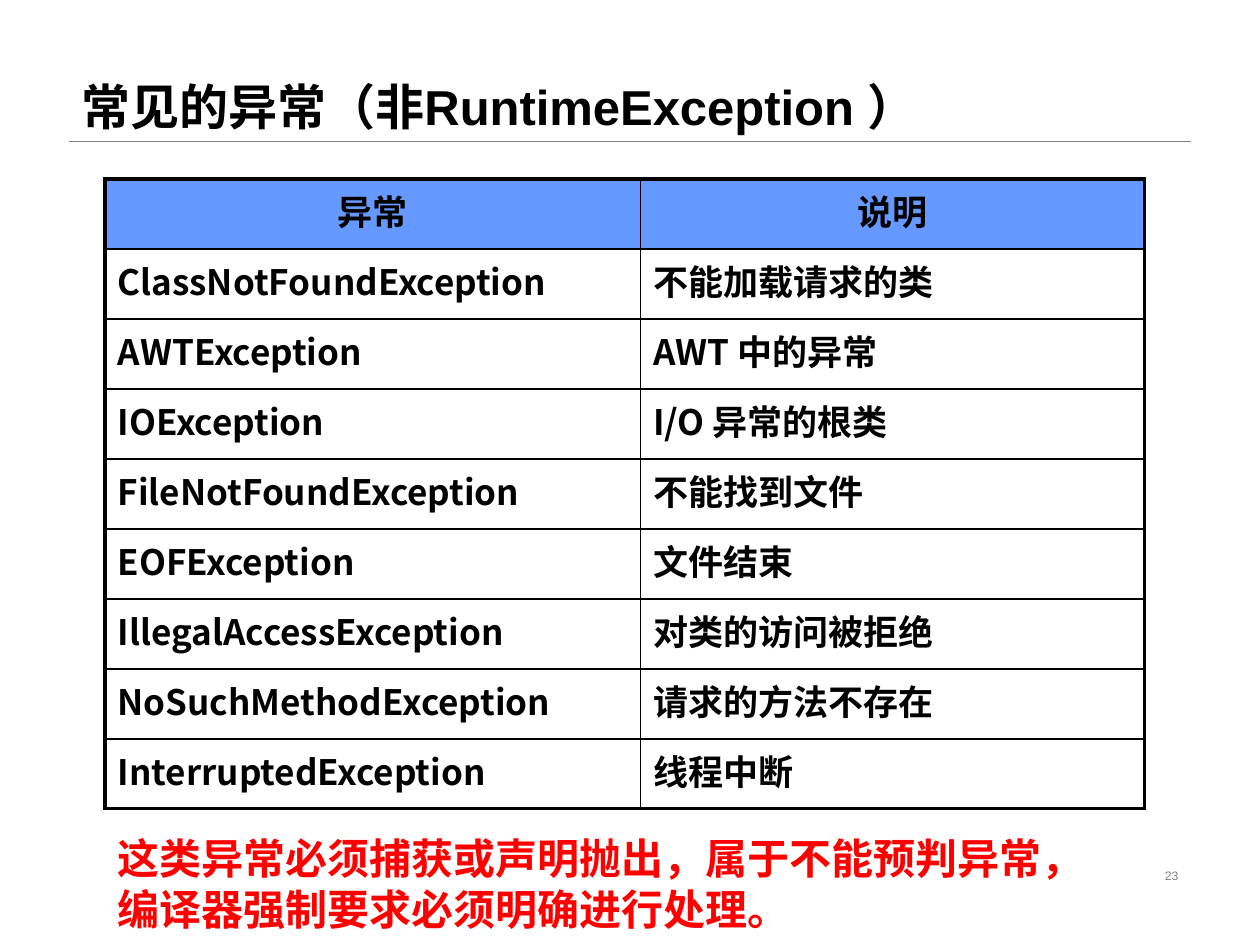
from lxml import etree
from pptx import Presentation
from pptx.dml.color import RGBColor
from pptx.enum.shapes import MSO_CONNECTOR
from pptx.enum.text import MSO_ANCHOR, PP_ALIGN
from pptx.oxml.ns import qn
from pptx.util import Pt

STRAIGHT = MSO_CONNECTOR.STRAIGHT
TOP, MIDDLE, BOTTOM = MSO_ANCHOR.TOP, MSO_ANCHOR.MIDDLE, MSO_ANCHOR.BOTTOM
LEFT, CENTER, RIGHT = PP_ALIGN.LEFT, PP_ALIGN.CENTER, PP_ALIGN.RIGHT

BLACK, GRAY, RED, BLUE = "000000", "808080", "FF0000", "6699FF"
LATIN_FONT = "Arial"
TABLE_FONT = "Noto Sans CJK SC"
THIN, THICK = 1, 2.25
COLUMN_WIDTHS = (306, 288)

ROWS = [
    ("异常", "说明"),
    ("ClassNotFoundException", "不能加载请求的类"),
    ("AWTException", "AWT 中的异常"),
    ("IOException", "I/O 异常的根类"),
    ("FileNotFoundException", "不能找到文件"),
    ("EOFException", "文件结束"),
    ("IllegalAccessException", "对类的访问被拒绝"),
    ("NoSuchMethodException", "请求的方法不存在"),
    ("InterruptedException", "线程中断"),
]


def color(value):
    return RGBColor.from_string(value)


def format_run(run, size, fill, name=LATIN_FONT, bold=True):
    run.font.size = Pt(size)
    run.font.name = name
    run.font.bold = bold
    run.font.color.rgb = color(fill)


def place(shape, box):
    shape.left, shape.top, shape.width, shape.height = (Pt(length) for length in box)


def add_title(slide, box):
    title = slide.shapes.title
    place(title, box)
    frame = title.text_frame
    frame.word_wrap = True
    frame.vertical_anchor = BOTTOM
    paragraph = frame.paragraphs[0]
    paragraph.alignment = LEFT
    paragraph.line_spacing = 1.3
    run = paragraph.add_run()
    run.text = "常见的异常（非RuntimeException ）"
    format_run(run, 28, BLACK)

    left, top, width, height = box
    bottom = Pt(top + height)
    rule = slide.shapes.add_connector(STRAIGHT, Pt(left), bottom, Pt(left + width), bottom)
    rule.line.color.rgb = color(GRAY)
    rule.line.width = Pt(0.25)
    etree.SubElement(rule._element.spPr, qn("a:effectLst"))


def set_borders(cell, widths):
    properties = cell._tc.get_or_add_tcPr()
    for index, (side, width) in enumerate(zip(("lnL", "lnR", "lnT", "lnB"), widths)):
        line = etree.Element(qn(f"a:{side}"), w=str(Pt(width)))
        fill = etree.SubElement(line, qn("a:solidFill"))
        etree.SubElement(fill, qn("a:srgbClr"), val=BLACK)
        properties.insert(index, line)


def add_exception_table(slide, box):
    left, top, width, height = (Pt(length) for length in box)
    last_row, last_column = len(ROWS) - 1, len(COLUMN_WIDTHS) - 1
    table = slide.shapes.add_table(
        len(ROWS), len(COLUMN_WIDTHS), left, top, width, height).table
    for column, column_width in zip(table.columns, COLUMN_WIDTHS):
        column.width = Pt(column_width)
    for row_index, texts in enumerate(ROWS):
        table.rows[row_index].height = Pt(box[3] / len(ROWS))
        for column_index, text in enumerate(texts):
            cell = table.cell(row_index, column_index)
            cell.vertical_anchor = TOP
            if row_index == 0:
                cell.fill.solid()
                cell.fill.fore_color.rgb = color(BLUE)
            else:
                cell.fill.background()
            outer = (column_index == 0, column_index == last_column,
                     row_index == 0, row_index == last_row)
            set_borders(cell, [THICK if edge else THIN for edge in outer])
            paragraph = cell.text_frame.paragraphs[0]
            paragraph.alignment = CENTER if row_index == 0 else LEFT
            run = paragraph.add_run()
            run.text = text
            format_run(run, 20, BLACK, TABLE_FONT)
            east_asian = etree.Element(qn("a:ea"), typeface=TABLE_FONT)
            run.font._element.find(qn("a:latin")).addnext(east_asian)


def add_note(slide, box):
    note = slide.shapes.add_textbox(*(Pt(length) for length in box))
    note.text_frame.word_wrap = False
    paragraph = note.text_frame.paragraphs[0]
    first, second = "这类异常必须捕获或声明抛出，属于不能预判异常，", "编译器强制要求必须明确进行处理。"
    run = paragraph.add_run()
    run.text = first
    format_run(run, 24, RED)
    paragraph.add_line_break()
    run = paragraph.add_run()
    run.text = second
    format_run(run, 24, RED)


def add_slide_number(slide, box):
    number = slide.shapes.add_textbox(*(Pt(length) for length in box))
    frame = number.text_frame
    frame.word_wrap = True
    frame.vertical_anchor = MIDDLE
    paragraph = frame.paragraphs[0]
    paragraph.alignment = RIGHT
    paragraph.line_spacing = 1.3
    run = paragraph.add_run()
    run.text = "23"
    format_run(run, 7, GRAY, bold=False)


def main():
    presentation = Presentation()
    presentation.slide_width, presentation.slide_height = Pt(720), Pt(540)
    slide = presentation.slides.add_slide(presentation.slide_layouts[5])
    add_title(slide, (39.6, 0, 640.8, 80.9))
    add_exception_table(slide, (60, 102.2, sum(COLUMN_WIDTHS), 360))
    add_note(slide, (60, 472.3, 568.8, 65.5))
    add_slide_number(slide, (508.3, 491, 172.1, 16.6))
    presentation.save("out.pptx")


if __name__ == "__main__":
    main()
